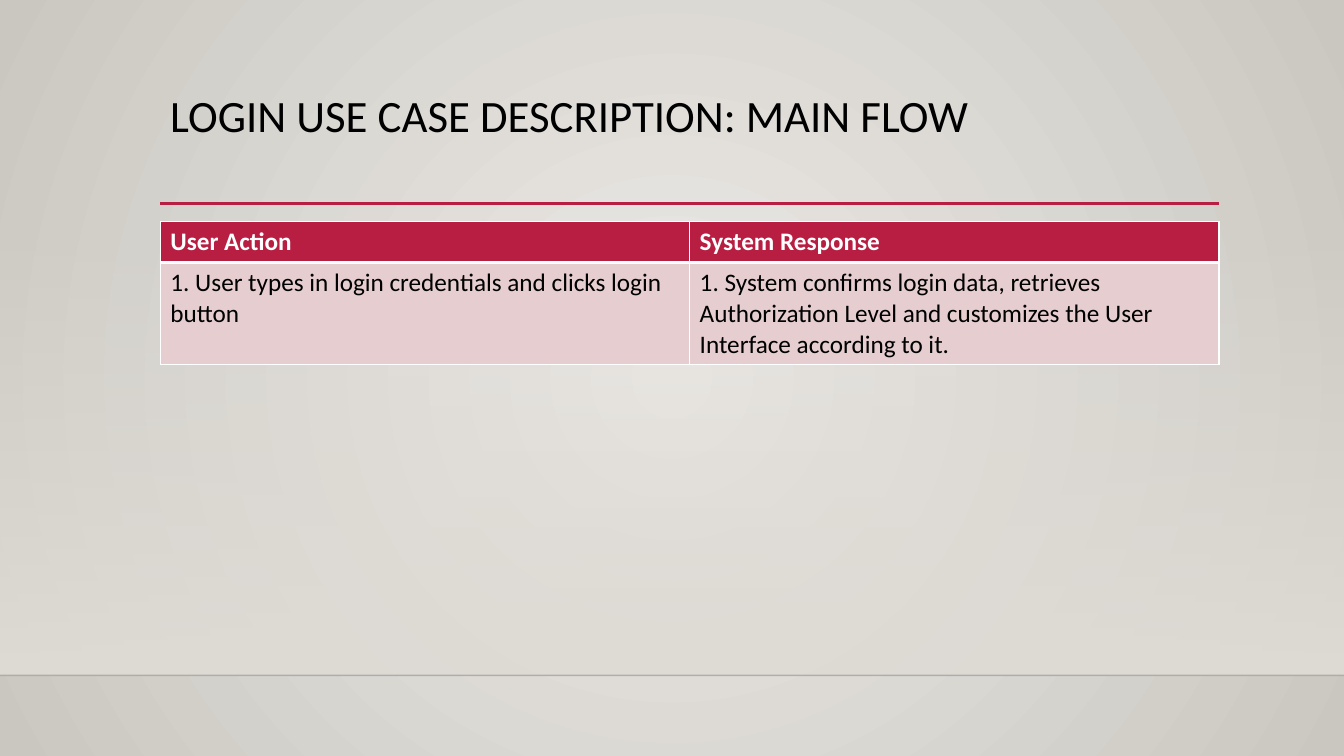
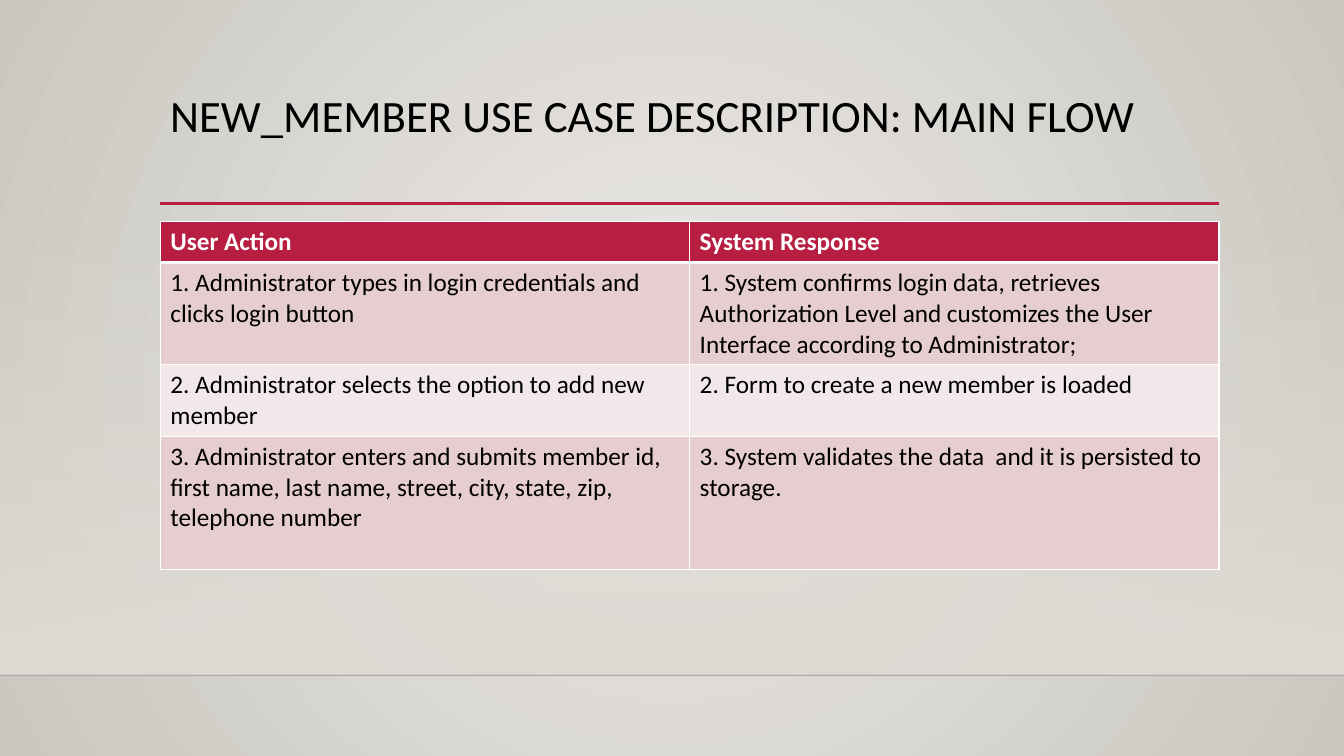
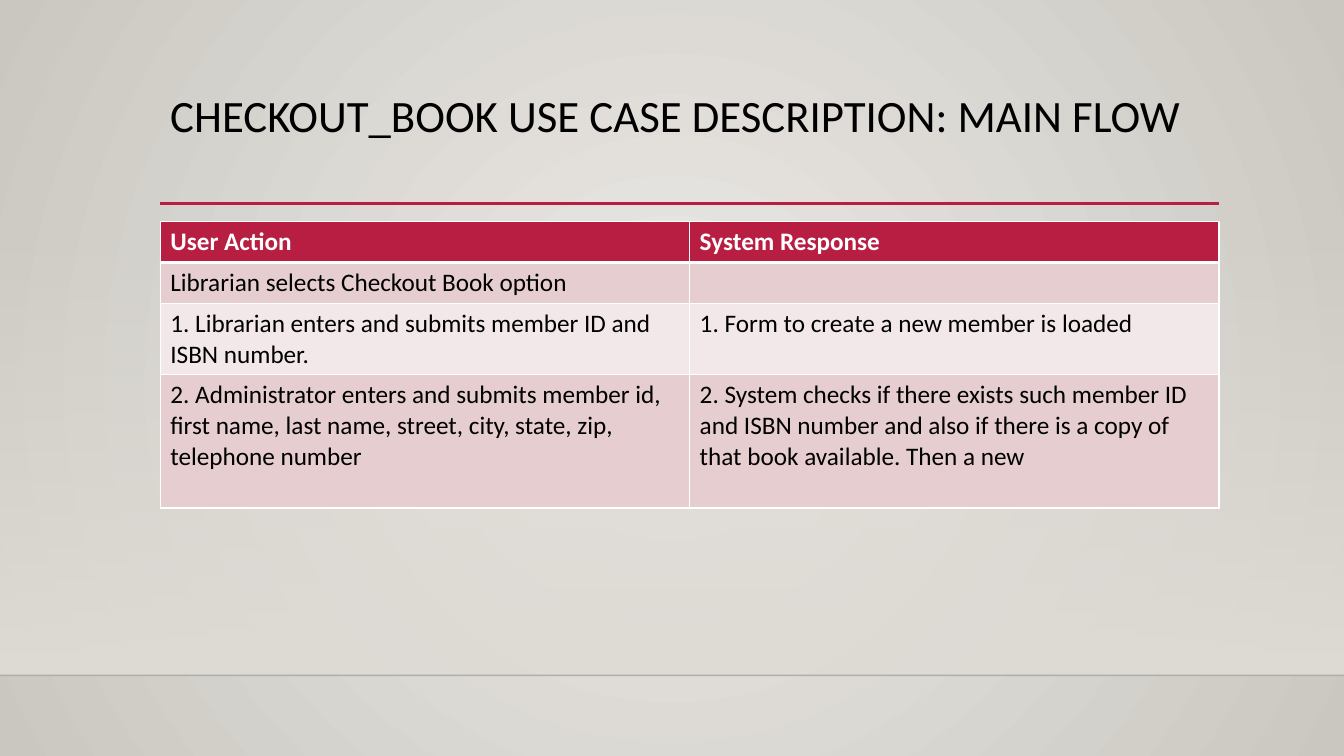
from dataclasses import dataclass

from lxml.etree import SubElement
from pptx import Presentation
from pptx.dml.color import RGBColor
from pptx.dml.fill import FillFormat
from pptx.enum.shapes import MSO_CONNECTOR, MSO_SHAPE
from pptx.enum.text import MSO_ANCHOR
from pptx.oxml.ns import qn
from pptx.slide import Slide, SlideMaster
from pptx.table import _Cell
from pptx.text.text import _Paragraph
from pptx.util import Inches, Length, Pt


@dataclass(frozen=True)
class Theme:
    font: str = "Calibri"
    title_size: int = 32
    body_size: int = 18
    ink: str = "000000"
    white: str = "FFFFFF"
    accent: str = "B71E42"
    row_tints: tuple[str, str] = ("E6CDCF", "F3E8E9")
    backdrop: tuple[str, str] = ("ECEAE7", "CAC7C1")
    floor: str = "DFDBD5"
    thin_border: float = 1
    thick_border: float = 3


@dataclass(frozen=True)
class FlowStep:
    user_action: str
    system_response: str
    lines: int


@dataclass(frozen=True)
class UseCase:
    title: str
    steps: tuple[FlowStep, ...]


@dataclass(frozen=True)
class Rule:
    left: Length
    right: Length
    top: Length
    color: str
    width: float
    opacity: int = 100


THEME = Theme()
SLIDE_WIDTH, SLIDE_HEIGHT = Inches(13.33), Inches(7.5)
MARGIN, CONTENT_WIDTH = Inches(1.59), Inches(10.5)
FLOOR_TOP, FLOOR_BOTTOM = Inches(2.21), Inches(6.7)
TITLE_TOP, TITLE_HEIGHT = Inches(0.88), Inches(1.15)
TABLE_TOP = Inches(2.2)
CELL_PADDING, LINE_HEIGHT = Inches(0.1), Inches(0.305)

RULES = (
    Rule(Inches(0), SLIDE_WIDTH, FLOOR_BOTTOM, THEME.ink, 1, 20),
    Rule(MARGIN, MARGIN + CONTENT_WIDTH, Inches(2.02), THEME.accent, 2.5),
)
HEADINGS = FlowStep("User Action", "System Response", 1)
MEMBER_DETAILS = (
    "Administrator enters and submits member id, first name, last name, "
    "street, city, state, zip, telephone number"
)
LOGIN_CONFIRMED = (
    "1. System confirms login data, retrieves Authorization Level and "
    "customizes the User Interface according to"
)
FORM_LOADED = "Form to create a new member is loaded"
USE_CASES = (
    UseCase("LOGIN", (
        FlowStep(
            "1. User types in login credentials and clicks login button",
            f"{LOGIN_CONFIRMED} it.", 3),
    )),
    UseCase("NEW_MEMBER", (
        FlowStep(
            "1. Administrator types in login credentials and clicks login button",
            f"{LOGIN_CONFIRMED} Administrator;", 3),
        FlowStep(
            "2. Administrator selects the option to add new member",
            f"2. {FORM_LOADED}", 2),
        FlowStep(
            f"3. {MEMBER_DETAILS}",
            "3. System validates the data  and it is persisted to storage.", 4),
    )),
    UseCase("CHECKOUT_BOOK", (
        FlowStep("Librarian selects Checkout Book option", "", 1),
        FlowStep(
            "1. Librarian enters and submits member ID and ISBN number.",
            f"1. {FORM_LOADED}", 2),
        FlowStep(
            f"2. {MEMBER_DETAILS}",
            "2. System checks if there exists such member ID and ISBN number and "
            "also if there is a copy of that book available. Then a new", 4),
    )),
)


def rgb(color: str) -> RGBColor:
    return RGBColor.from_string(color)


def write(paragraph: _Paragraph, text: str, size: int, color: str, bold: bool = False) -> None:
    font = paragraph.add_run().font
    paragraph.runs[0].text = text
    for attribute, value in {"name": THEME.font, "size": Pt(size), "bold": bold}.items():
        setattr(font, attribute, value)
    font.color.rgb = rgb(color)


def set_gradient(fill: FillFormat, colors: tuple[str, str]) -> None:
    fill.gradient()
    for stop, color, position in zip(fill.gradient_stops, colors, (0, 1)):
        stop.color.rgb = rgb(color)
        stop.position = position


def paint_backdrop(master: SlideMaster) -> None:
    """Give every slide a gradient that spreads from the centre."""
    set_gradient(master.background.fill, THEME.backdrop)
    gradient = next(master.element.iter(qn("a:gradFill")))
    gradient.remove(gradient.find(qn("a:lin")))
    spread = SubElement(gradient, qn("a:path"), {"path": "circle"})
    SubElement(spread, qn("a:fillToRect"), {side: "50000" for side in "ltrb"})


def add_floor(slide: Slide) -> None:
    """Add the band that fades in from clear to solid above the lower rule."""
    floor = slide.shapes.add_shape(
        MSO_SHAPE.RECTANGLE, 0, FLOOR_TOP, SLIDE_WIDTH, FLOOR_BOTTOM - FLOOR_TOP)
    floor.shadow.inherit = False
    floor.line.fill.background()
    set_gradient(floor.fill, (THEME.floor, THEME.floor))
    floor.fill.gradient_angle = 270
    first_color = next(floor.element.iter(qn("a:srgbClr")))
    SubElement(first_color, qn("a:alpha"), {"val": "0"})


def add_rule(slide: Slide, rule: Rule) -> None:
    connector = slide.shapes.add_connector(
        MSO_CONNECTOR.STRAIGHT, rule.left, rule.top, rule.right, rule.top)
    connector.line.color.rgb = rgb(rule.color)
    connector.line.width = Pt(rule.width)
    if rule.opacity < 100:
        color = next(connector.element.iter(qn("a:srgbClr")))
        SubElement(color, qn("a:alpha"), {"val": str(rule.opacity * 1000)})
    SubElement(connector.element.spPr, qn("a:effectLst"))


def add_title(slide: Slide, text: str) -> None:
    frame = slide.shapes.add_textbox(MARGIN, TITLE_TOP, CONTENT_WIDTH, TITLE_HEIGHT).text_frame
    frame.word_wrap = True
    frame.vertical_anchor = MSO_ANCHOR.TOP
    heading = frame.paragraphs[0]
    heading.line_spacing = 0.9
    write(heading, text, THEME.title_size, THEME.ink)


def set_borders(cell: _Cell, top: float, bottom: float) -> None:
    widths = {"L": THEME.thin_border, "R": THEME.thin_border, "T": top, "B": bottom}
    properties = cell._tc.get_or_add_tcPr()
    for side, width in widths.items():
        border = SubElement(properties, qn(f"a:ln{side}"), {"w": str(Pt(width))})
        fill = SubElement(border, qn("a:solidFill"))
        SubElement(fill, qn("a:srgbClr"), {"val": THEME.white})


def add_flow_table(slide: Slide, steps: tuple[FlowStep, ...]) -> None:
    rows = (HEADINGS, *steps)
    heights = [CELL_PADDING + row.lines * LINE_HEIGHT for row in rows]
    table = slide.shapes.add_table(
        len(rows), 2, MARGIN, TABLE_TOP, CONTENT_WIDTH, sum(heights)).table
    table.horz_banding = False
    for index, (row, height) in enumerate(zip(rows, heights)):
        table.rows[index].height = height
        is_header = index == 0
        background = THEME.accent if is_header else THEME.row_tints[(index - 1) % 2]
        top = THEME.thick_border if index == 1 else THEME.thin_border
        bottom = THEME.thick_border if is_header else THEME.thin_border
        for column, text in enumerate((row.user_action, row.system_response)):
            cell = table.cell(index, column)
            set_borders(cell, top, bottom)
            cell.fill.solid()
            cell.fill.fore_color.rgb = rgb(background)
            if text:
                write(cell.text_frame.paragraphs[0], text, THEME.body_size,
                      THEME.white if is_header else THEME.ink, is_header)


def main() -> None:
    presentation = Presentation()
    presentation.slide_width, presentation.slide_height = SLIDE_WIDTH, SLIDE_HEIGHT
    paint_backdrop(presentation.slide_master)
    blank_layout = presentation.slide_layouts[6]
    for use_case in USE_CASES:
        slide = presentation.slides.add_slide(blank_layout)
        add_floor(slide)
        for rule in RULES:
            add_rule(slide, rule)
        add_title(slide, f"{use_case.title} USE CASE DESCRIPTION: MAIN FLOW")
        add_flow_table(slide, use_case.steps)
    presentation.save("out.pptx")


if __name__ == "__main__":
    main()
